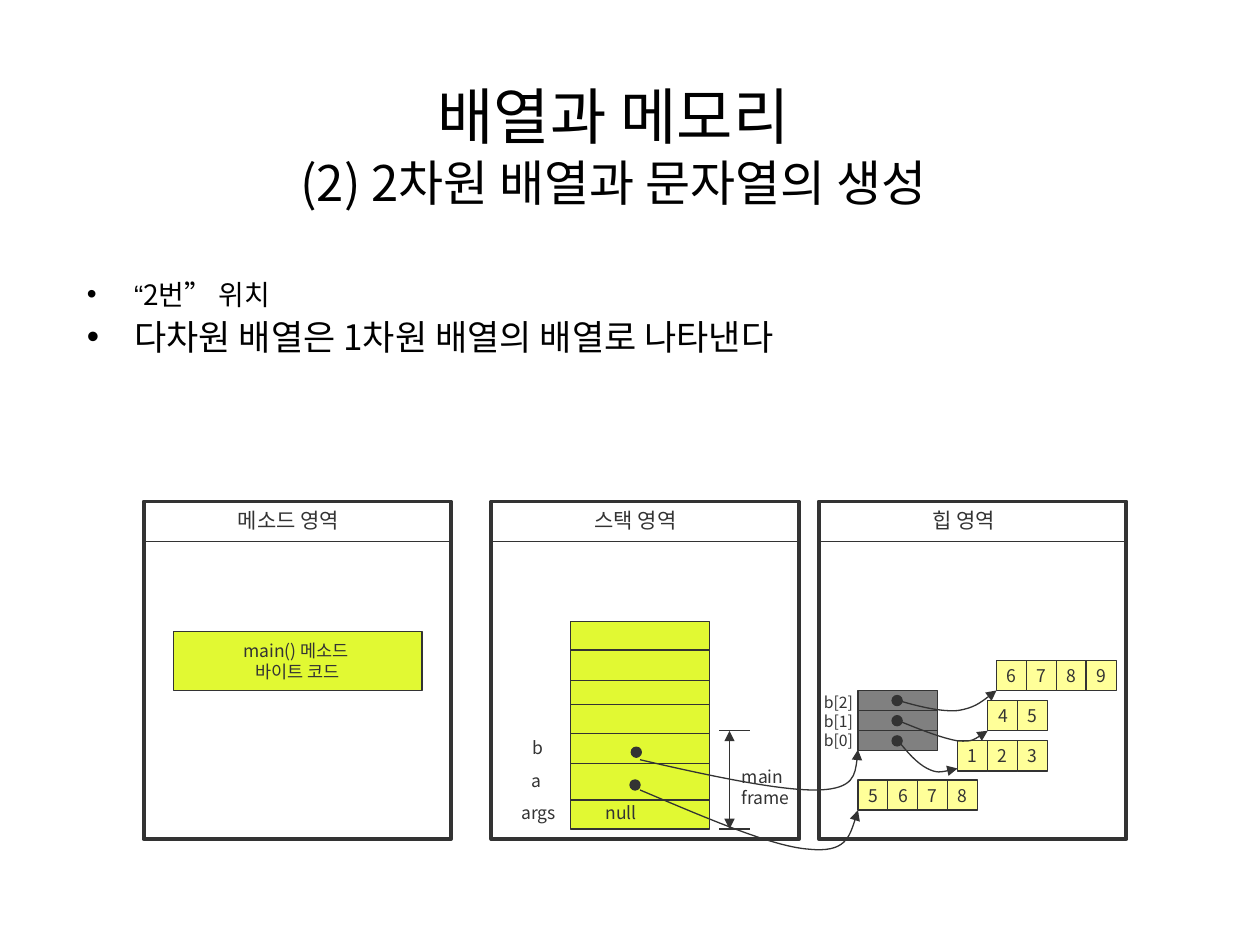
from dataclasses import dataclass

from lxml.etree import SubElement
from pptx import Presentation
from pptx.dml.color import RGBColor
from pptx.enum.shapes import MSO_CONNECTOR as Connector, MSO_SHAPE as Shape
from pptx.enum.text import MSO_ANCHOR as Anchor, MSO_AUTO_SIZE as AutoSize, PP_ALIGN as Align
from pptx.oxml.ns import qn
from pptx.util import Inches, Pt

COLORS = {"ink": "333333", "lime": "E1F933", "yellow": "FFFF99", "gray": "808080", "black": "000000"}
FONT = "Noto Sans CJK KR"
CELL = 0.24
CELL_PITCH = 0.71 / 3
DOT = 0.08
AREA_TOP, AREA_WIDTH, AREA_HEIGHT = 3.98, 2.44, 2.68
STACK_LEFT, STACK_RIGHT = 4.53, 5.63
HEAP_LEFT, HEAP_TOP, HEAP_ROW = 6.81, 5.48, 0.16
Point = tuple[float, float]


@dataclass
class Area:
    left: float
    title: str
    title_left: float
    title_width: float


@dataclass
class Label:
    lines: list[str]
    left: float
    top: float
    width: float
    height: float
    size: float = 10


@dataclass
class IntArray:
    left: float
    top: float
    digits: str


AREAS = [
    Area(1.14, "메소드 영역", 1.79, 1.05),
    Area(3.9, "스택 영역", 4.62, 0.89),
    Area(6.5, "힙 영역", 7.3, 0.73),
]
LABELS = [
    Label(["b"], 4.13, 5.8, 0.41, 0.27),
    Label(["a"], 4.12, 6.06, 0.41, 0.27),
    Label(["args"], 4.04, 6.32, 0.6, 0.27),
    Label(["null"], 4.71, 6.32, 0.6, 0.27),
    Label(["main", "frame"], 5.79, 6.03, 0.63, 0.44),
    Label(["b[2]", "b[1]", "b[0]"], 6.44, 5.45, 0.55, 0.55, 9),
]
ARRAYS = [
    IntArray(6.81, 6.19, "5678"),
    IntArray(7.6, 5.88, "123"),
    IntArray(7.84, 5.56, "45"),
    IntArray(7.91, 5.24, "6789"),
]
STACK_DIVIDERS = [5.16, 5.4, 5.59, 5.82, 6.06, 6.35]
STACK_DOTS = [(5.0, 6.19), (5.01, 5.93)]
# Each pointer is a start point followed by three points per Bézier segment.
POINTERS = [
    [(5.08, 6.27), (5.6, 6.49), (6.13, 6.72), (6.42, 6.74), (6.71, 6.77), (6.76, 6.6), (6.81, 6.43)],
    [(7.13, 5.88), (7.2, 5.97), (7.28, 6.06), (7.36, 6.1), (7.44, 6.14), (7.52, 6.12), (7.6, 6.1)],
    [(7.13, 5.72), (7.3, 5.79), (7.48, 5.86), (7.6, 5.88), (7.72, 5.89), (7.78, 5.84), (7.84, 5.8)],
    [(7.13, 5.56), (7.3, 5.61), (7.47, 5.65), (7.6, 5.64), (7.73, 5.62), (7.82, 5.55), (7.91, 5.48)],
    [(5.08, 6.03), (5.64, 6.16), (6.21, 6.28), (6.5, 6.27), (6.78, 6.26), (6.8, 6.1), (6.81, 5.95)],
]


def rgb(name: str) -> RGBColor:
    return RGBColor.from_string(COLORS[name])


def add_span(para, text: str, *, size: float, color: str = "ink", font: str = FONT) -> None:
    span = para.add_run()
    span.text = text
    span.font.size = Pt(size)
    span.font.name = font
    span.font.color.rgb = rgb(color)
    SubElement(span.font._element, qn("a:ea")).set("typeface", FONT)


def write_lines(frame, lines: list[str], *, size: float = 10, align=Align.LEFT) -> None:
    for index, line in enumerate(lines):
        para = frame.add_paragraph() if index else frame.paragraphs[0]
        para.alignment = align
        add_span(para, line, size=size)


def add_label(page, label: Label, *, wrap: bool = True) -> None:
    box = page.shapes.add_textbox(*map(Inches, (label.left, label.top, label.width, label.height)))
    box.text_frame.word_wrap = wrap
    write_lines(box.text_frame, label.lines, size=label.size)


def add_box(page, left: float, top: float, width: float, height: float, *, kind=Shape.RECTANGLE,
            fill: str | None = None, line: float = 0.75, lines: list[str] | None = None) -> None:
    box = page.shapes.add_shape(kind, *map(Inches, (left, top, width, height)))
    box.shadow.inherit = False
    if fill:
        box.fill.solid()
        box.fill.fore_color.rgb = rgb(fill)
    else:
        box.fill.background()
    box.line.color.rgb = rgb("ink")
    box.line.width = Pt(line)
    if lines:
        frame = box.text_frame
        frame.word_wrap = False
        frame.vertical_anchor = Anchor.MIDDLE
        frame.margin_left = frame.margin_right = 0
        write_lines(frame, lines, align=Align.CENTER)


def add_dot(page, left: float, top: float) -> None:
    add_box(page, left, top, DOT, DOT, kind=Shape.OVAL, fill="ink")


def add_arrowheads(shape, *ends: str) -> None:
    for end in ends:
        SubElement(shape.line._get_or_add_ln(), qn(f"a:{end}")).set("type", "triangle")


def add_line(page, start: Point, end: Point):
    line = page.shapes.add_connector(Connector.STRAIGHT, *map(Inches, start + end))
    line.line.color.rgb = rgb("ink")
    line.line.width = Pt(0.75)
    SubElement(line._element.spPr, qn("a:effectLst"))
    return line


def add_pointer(page, points: list[Point]) -> None:
    """Draw a curved arrow: a freeform whose vertices become Bézier control points."""
    scaled = [(Inches(x), Inches(y)) for x, y in points]
    builder = page.shapes.build_freeform(*scaled[0])
    builder.add_line_segments(scaled[1:], close=False)
    curve = builder.convert_to_shape()
    outline = next(curve._element.iter(qn("a:path")))
    steps = outline.findall(qn("a:lnTo"))
    for first in range(0, len(steps), 3):
        bezier = SubElement(outline, qn("a:cubicBezTo"))
        for step in steps[first:first + 3]:
            bezier.append(step[0])
            outline.remove(step)
    curve.shadow.inherit = False
    curve.fill.background()
    curve.line.color.rgb = rgb("ink")
    curve.line.width = Pt(0.75)
    add_arrowheads(curve, "tailEnd")


def place(holder, left: float, top: float, width: float, height: float):
    holder.left, holder.top, holder.width, holder.height = map(Inches, (left, top, width, height))
    holder.text_frame.auto_size = AutoSize.NONE
    return holder.text_frame


def add_headings(page) -> None:
    title = place(page.shapes.title, 0.25, 0.75, 9.24, 0.8).paragraphs[0]
    add_span(title, "배열과 메모리", size=35, color="black")
    title.add_line_break()
    add_span(title, "(2) 2차원 배열과 문자열의 생성", size=28, color="black")

    body = place(page.placeholders[1], 0.59, 2.18, 8.5, 1.11)
    first, second = body.paragraphs[0], body.add_paragraph()
    for para, gap in ((first, 4), (second, 5)):
        para.line_spacing = 0.9
        para.space_before = Pt(gap)
    for text, font in (("“", "Arial"), ("2번", FONT), ("” ", "Arial"), ("위치", FONT)):
        add_span(first, text, size=16, color="black", font=font)
    add_span(second, "다차원 배열은 1차원 배열의 배열로 나타낸다", size=20, color="black")


def main() -> None:
    deck = Presentation()
    deck.slide_width, deck.slide_height = Inches(10), Inches(7.5)
    page = deck.slides.add_slide(deck.slide_layouts[1])
    add_headings(page)

    for area in AREAS:
        add_box(page, area.left, AREA_TOP, AREA_WIDTH, AREA_HEIGHT, line=2.25)
        add_line(page, (area.left, 4.3), (area.left + AREA_WIDTH, 4.3))
        add_label(page, Label([area.title], area.title_left, AREA_TOP, area.title_width, 0.3, 12), wrap=False)

    add_box(page, 1.38, 5.01, 1.97, 0.47, fill="lime", lines=["main() 메소드 ", "바이트 코드"])
    add_box(page, STACK_LEFT, 4.93, STACK_RIGHT - STACK_LEFT, 1.65, fill="lime")
    for y in STACK_DIVIDERS:
        add_line(page, (STACK_LEFT, y), (STACK_RIGHT, y))
    for y in (5.8, 6.58):
        add_line(page, (5.71, y), (5.95, y))
    add_arrowheads(add_line(page, (5.79, 5.8), (5.79, 6.58)), "headEnd", "tailEnd")
    for dot in STACK_DOTS:
        add_dot(page, *dot)

    for row in range(3):
        top = HEAP_TOP + row * HEAP_ROW
        add_box(page, HEAP_LEFT, top, 0.63, HEAP_ROW, fill="gray")
        add_dot(page, 7.08, top + (HEAP_ROW - DOT) / 2)
    for array in ARRAYS:
        for index, digit in enumerate(array.digits):
            add_box(page, array.left + index * CELL_PITCH, array.top, CELL, CELL, fill="yellow", lines=[digit])
    for label in LABELS:
        add_label(page, label)
    for points in POINTERS:
        add_pointer(page, points)
    deck.save("out.pptx")


if __name__ == "__main__":
    main()
